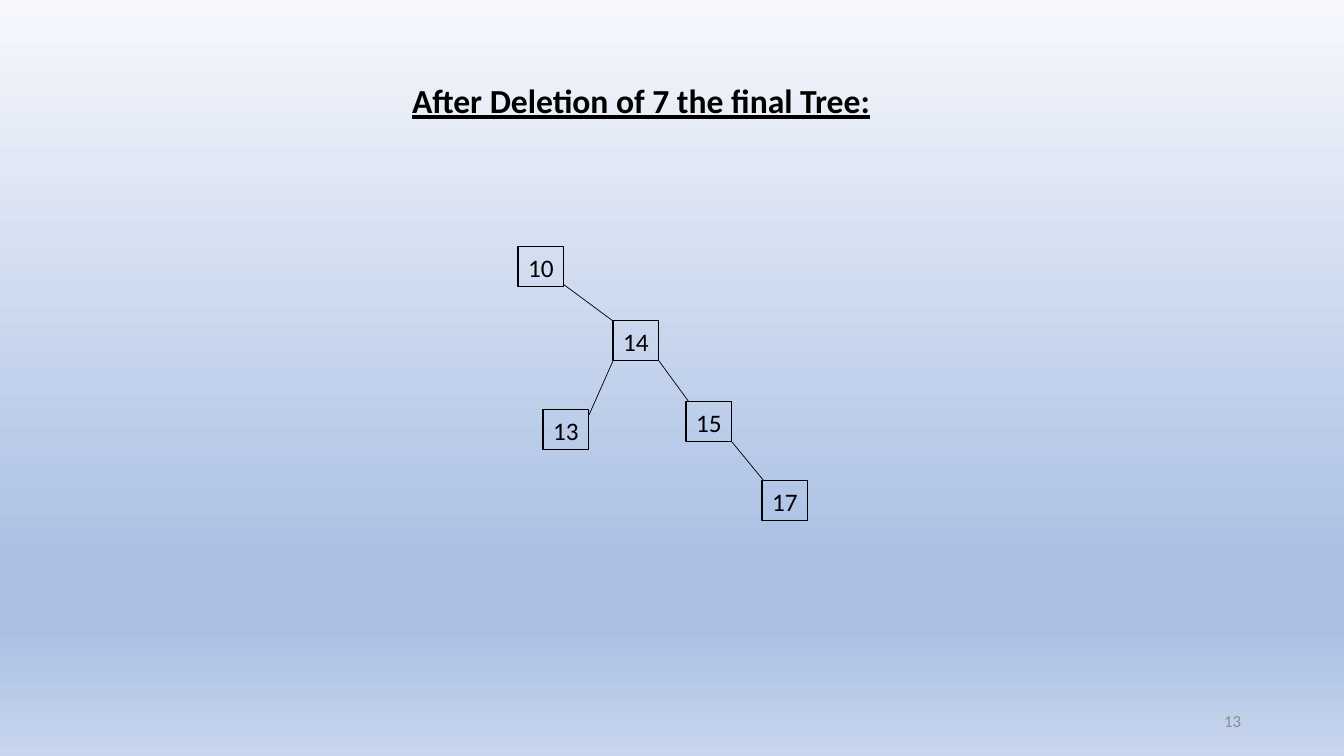
from lxml import etree
from pptx import Presentation
from pptx.dml.color import RGBColor
from pptx.enum.shapes import MSO_CONNECTOR, MSO_SHAPE
from pptx.enum.text import MSO_ANCHOR, PP_ALIGN
from pptx.oxml.ns import qn
from pptx.util import Pt

STRAIGHT = MSO_CONNECTOR.STRAIGHT
RECTANGLE = MSO_SHAPE.RECTANGLE
TOP, MIDDLE = MSO_ANCHOR.TOP, MSO_ANCHOR.MIDDLE
LEFT, CENTER, RIGHT = PP_ALIGN.LEFT, PP_ALIGN.CENTER, PP_ALIGN.RIGHT

SLIDE_W, SLIDE_H = 1344, 756
EMU_PER_PX = 12192000 / SLIDE_W
FONT = "Calibri"
COLORS = {
    "ink": "000000",
    "page_number": "8C8C8C",
    "sky_top": "F6F8FC",
    "sky_deep": "ABC0E4",
    "sky_bottom": "C7D5ED",
}
SKY_STOPS = [(0, "sky_top"), (74, "sky_deep"), (83, "sky_deep"), (100, "sky_bottom")]

NODE_W, NODE_H = 46, 40
NODES = {"10": (0, 0), "14": (95, 74), "13": (25, 163), "15": (168, 155), "17": (244, 234)}
EDGES = [
    ("10", "14", (-1, -3), (0, 0)),
    ("14", "13", (0, 0), (0, 5)),
    ("14", "15", (0, 0), (3, 0)),
    ("15", "17", (0, 0), (2, 0)),
]


def px(length):
    return round(length * EMU_PER_PX)


def color(name):
    return RGBColor.from_string(COLORS[name])


def write(shape, text, size, align, anchor, ink="ink"):
    frame = shape.text_frame
    frame.vertical_anchor = anchor
    frame.word_wrap = False
    paragraph = frame.paragraphs[0]
    paragraph.alignment = align
    run = paragraph.add_run()
    run.text = text
    run.font.name = FONT
    run.font.size = Pt(size)
    run.font.color.rgb = color(ink)
    return run


def paint_background(slide):
    fill = slide.background.fill
    fill.gradient()
    fill.gradient_angle = 270
    stops = slide.background._cSld.find(".//" + qn("a:gsLst"))
    for stop in list(stops):
        stops.remove(stop)
    for percent, name in SKY_STOPS:
        stop = etree.SubElement(stops, qn("a:gs"), pos=str(percent * 1000))
        etree.SubElement(stop, qn("a:srgbClr"), val=COLORS[name])


def place_title(slide, left, top, width, height):
    title = slide.shapes.title
    title.left, title.top = px(left), px(top)
    title.width, title.height = px(width), px(height)
    run = write(title, "After Deletion of 7 the final Tree:", 24, LEFT, TOP)
    run.font.bold = True
    run.font.underline = True


def draw_node(slide, key, left, top):
    node = slide.shapes.add_shape(RECTANGLE, px(left), px(top), px(NODE_W), px(NODE_H))
    node.shadow.inherit = False
    node.fill.background()
    node.line.color.rgb = color("ink")
    node.line.width = Pt(0.75)
    write(node, key, 18, CENTER, TOP)


def draw_edge(slide, start, end):
    edge = slide.shapes.add_connector(STRAIGHT, *map(px, start + end))
    edge.line.color.rgb = color("ink")
    edge.line.width = Pt(0.5)
    etree.SubElement(edge._element.spPr, qn("a:effectLst"))


def draw_tree(slide, left, top):
    places = {key: (left + x, top + y) for key, (x, y) in NODES.items()}
    for key, place in places.items():
        draw_node(slide, key, *place)
    for parent, child, start_shift, end_shift in EDGES:
        parent_x, parent_y = places[parent]
        child_x, child_y = places[child]
        goes_right = child_x > parent_x
        start_x = parent_x + (NODE_W if goes_right else 0)
        end_x = child_x + (0 if goes_right else NODE_W)
        start = (start_x + start_shift[0], parent_y + NODE_H + start_shift[1])
        end = (end_x + end_shift[0], child_y + end_shift[1])
        draw_edge(slide, start, end)


def place_page_number(slide, left, top, width, height):
    number = slide.shapes.add_textbox(px(left), px(top), px(width), px(height))
    write(number, "13", 12, RIGHT, MIDDLE, "page_number")
    number.text_frame.word_wrap = True


def main():
    deck = Presentation()
    deck.slide_width, deck.slide_height = px(SLIDE_W), px(SLIDE_H)
    slide = deck.slides.add_slide(deck.slide_layouts[5])
    paint_background(slide)
    place_title(slide, 402, 75, 484, 50)
    draw_tree(slide, 518, 247)
    place_page_number(slide, 949, 701, 302, 40)
    deck.save("out.pptx")


if __name__ == "__main__":
    main()
